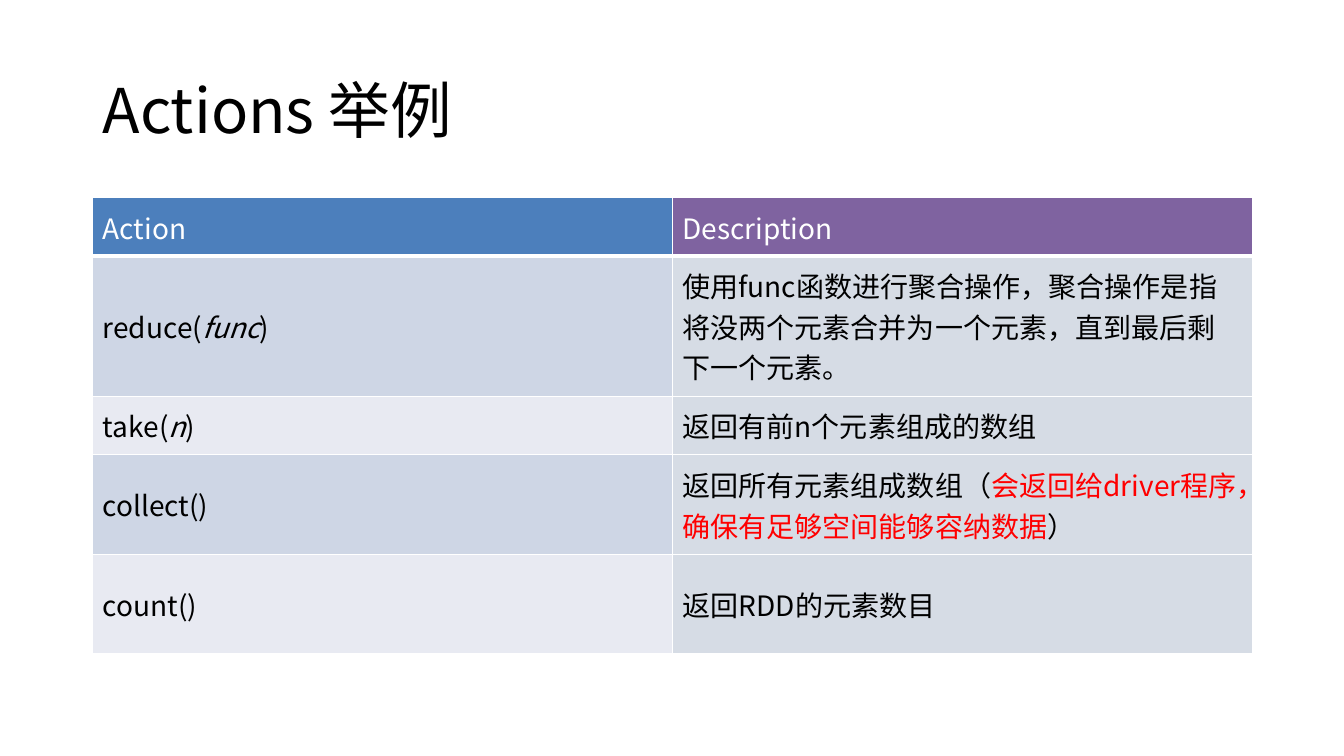
import pptx
import pptx.util
import pptx.dml.color
import pptx.enum.text
import pptx.oxml.ns
import lxml.etree
from pptx.util import Inches

THEME = {
    "font": "Noto Sans CJK SC",
    "title_size": 44,
    "table_size": 20,
    "text": "000000",
    "header_text": "FFFFFF",
    "warning": "FF0000",
    "border": "FFFFFF",
    "header_fills": ["4C7FBC", "7F63A0"],
    "action_bands": ["CED6E5", "E8EAF2"],
    "description_fill": "D6DCE5",
}


def write_text(paragraph, parts, size, color):
    font = paragraph.font
    font.name = THEME["font"]
    font.size = pptx.util.Pt(size)
    font.color.rgb = pptx.dml.color.RGBColor.from_string(color)
    east_asian = lxml.etree.SubElement(font._element, pptx.oxml.ns.qn("a:ea"))
    east_asian.set("typeface", THEME["font"])
    for words, style in parts:
        run = paragraph.add_run()
        run.text = words
        if style == "italic":
            run.font.italic = True
        elif style == "warning":
            run.font.color.rgb = pptx.dml.color.RGBColor.from_string(THEME["warning"])


def add_border(cell, side, points):
    line = lxml.etree.SubElement(cell._tc.get_or_add_tcPr(), pptx.oxml.ns.qn("a:ln" + side))
    line.set("w", str(pptx.util.Pt(points)))
    solid = lxml.etree.SubElement(line, pptx.oxml.ns.qn("a:solidFill"))
    lxml.etree.SubElement(solid, pptx.oxml.ns.qn("a:srgbClr")).set("val", THEME["border"])


presentation = pptx.Presentation()
presentation.slide_width = Inches(13.33)
presentation.slide_height = Inches(7.5)
slide = presentation.slides.add_slide(presentation.slide_layouts[6])

title = slide.shapes.add_textbox(Inches(0.92), Inches(0.4), Inches(11.5), Inches(1.45)).text_frame
title.word_wrap = True
title.vertical_anchor = pptx.enum.text.MSO_ANCHOR.MIDDLE
title.paragraphs[0].line_spacing = 0.9
write_text(title.paragraphs[0], [("Actions 举例", None)], THEME["title_size"], THEME["text"])

action_rows = [
    (0.58, [("Action", None)], [("Description", None)]),
    (1.39, [("reduce(", None), ("func", "italic"), (")", None)],
     [("使用func函数进行聚合操作，聚合操作是指将没两个元素合并为一个元素，直到最后剩下一个元素。", None)]),
    (0.58, [("take(", None), ("n", "italic"), (")", None)],
     [("返回有前n个元素组成的数组", None)]),
    (0.99, [("collect()", None)],
     [("返回所有元素组成数组（", None),
      ("会返回给driver程序，确保有足够空间能够容纳数据", "warning"),
      ("）", None)]),
    (0.99, [("count()", None)], [("返回RDD的元素数目", None)]),
]

actions = slide.shapes.add_table(
    len(action_rows), 2, Inches(0.92), Inches(1.96), Inches(11.5), Inches(4.52)
).table
for column in actions.columns:
    column.width = Inches(5.75)

for row, (height, *contents) in enumerate(action_rows):
    actions.rows[row].height = Inches(height)
    if row == 0:
        fills, color = THEME["header_fills"], THEME["header_text"]
    else:
        fills = [THEME["action_bands"][(row - 1) % 2], THEME["description_fill"]]
        color = THEME["text"]
    for column, parts in enumerate(contents):
        cell = actions.cell(row, column)
        cell.vertical_anchor = pptx.enum.text.MSO_ANCHOR.MIDDLE
        write_text(cell.text_frame.paragraphs[0], parts, THEME["table_size"], color)
        for side in "LRTB":
            below_header = (row, side) in [(0, "B"), (1, "T")]
            add_border(cell, side, 3 if below_header else 1)
        cell.fill.solid()
        cell.fill.fore_color.rgb = pptx.dml.color.RGBColor.from_string(fills[column])

presentation.save("out.pptx")
